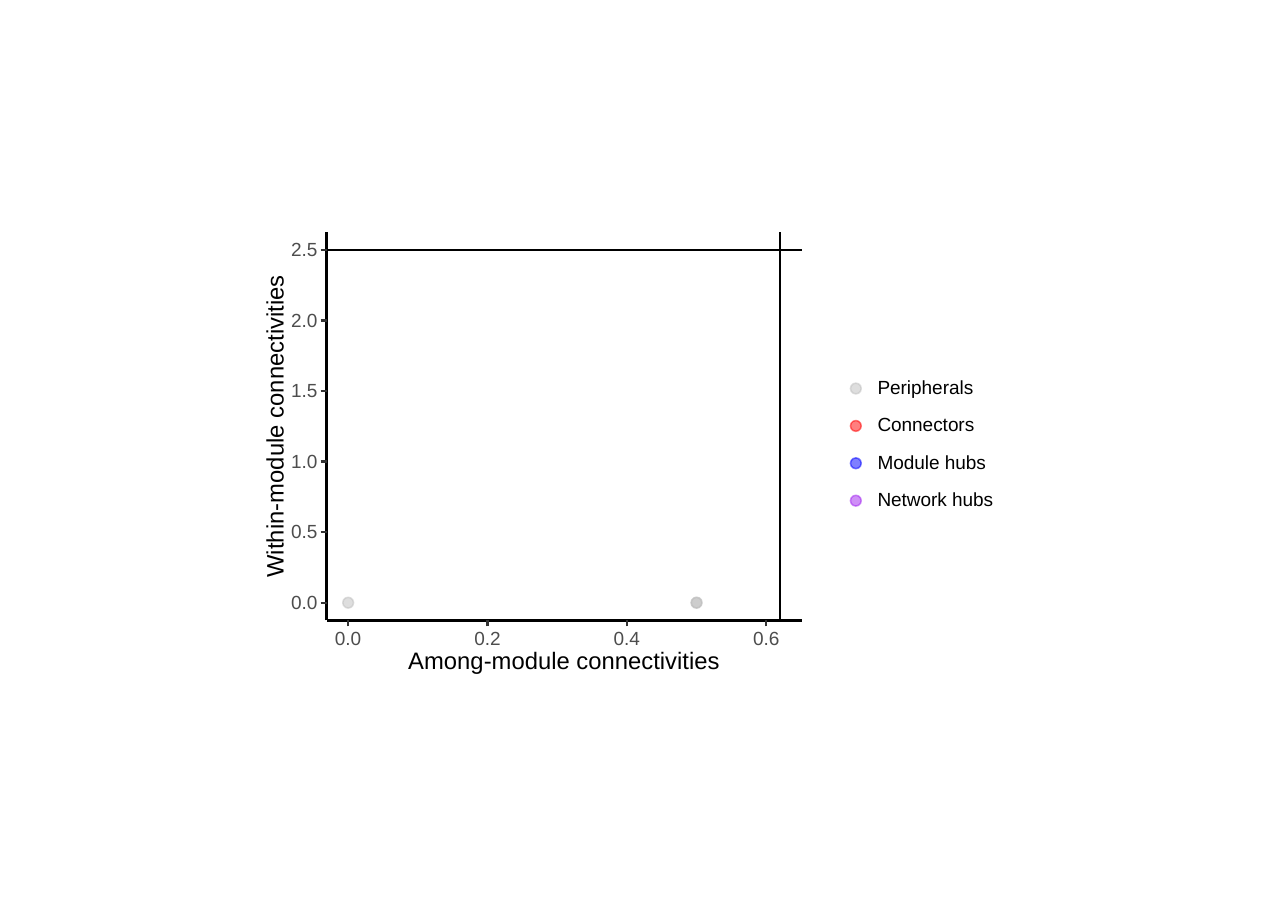
from lxml.etree import SubElement
from pptx import Presentation
from pptx.dml.color import RGBColor
from pptx.enum.shapes import MSO_CONNECTOR, MSO_SHAPE
from pptx.enum.text import MSO_ANCHOR, PP_ALIGN
from pptx.oxml.ns import qn
from pptx.util import Pt

FONT = "Arial"
BLACK = RGBColor(0x00, 0x00, 0x00)
TICK_GRAY = RGBColor(0x33, 0x33, 0x33)
LABEL_GRAY = RGBColor(0x4D, 0x4D, 0x4D)
GRAY = RGBColor(0xBE, 0xBE, 0xBE)
RED = RGBColor(0xFF, 0x00, 0x00)
BLUE = RGBColor(0x00, 0x00, 0xFF)
PURPLE = RGBColor(0xA0, 0x20, 0xF0)

LABEL_SIZE = 8.8
TITLE_SIZE = 11
LINE_WIDTH = 1.07
DOT_SIZE = 5
TICK_LENGTH = 2.75
X_THRESHOLD = 0.62
Y_THRESHOLD = 2.5
X_TICKS = [0.0, 0.2, 0.4, 0.6]
Y_TICKS = [0.0, 0.5, 1.0, 1.5, 2.0, 2.5]
EXPANSION = 0.05
POINTS = [(0.5, 0), (0.5, 0), (0, 0)]
ROLES = [("Peripherals", GRAY), ("Connectors", RED),
         ("Module hubs", BLUE), ("Network hubs", PURPLE)]


def add_line(slide, start, end, color):
    line = slide.shapes.add_connector(MSO_CONNECTOR.STRAIGHT,
                                      *(Pt(value) for value in (*start, *end)))
    line.line.color.rgb = color
    line.line.width = Pt(LINE_WIDTH)
    SubElement(line.element.spPr, qn("a:effectLst"))


def add_dot(slide, center_x, center_y, color):
    dot = slide.shapes.add_shape(
        MSO_SHAPE.OVAL, Pt(center_x - DOT_SIZE / 2), Pt(center_y - DOT_SIZE / 2),
        Pt(DOT_SIZE), Pt(DOT_SIZE))
    dot.shadow.inherit = False
    dot.fill.solid()
    dot.fill.fore_color.rgb = color
    dot.line.color.rgb = color
    dot.line.width = Pt(0.71)
    for shade in dot.element.spPr.iter(qn("a:srgbClr")):
        SubElement(shade, qn("a:alpha")).set("val", "50000")


def add_label(slide, center_x, center_y, width, text, size, color,
              alignment=PP_ALIGN.CENTER, rotation=0):
    height = size * 1.2
    label = slide.shapes.add_textbox(Pt(center_x - width / 2), Pt(center_y - height / 2),
                                     Pt(width), Pt(height))
    label.rotation = rotation
    frame = label.text_frame
    frame.word_wrap = True
    frame.vertical_anchor = MSO_ANCHOR.MIDDLE
    frame.margin_left = frame.margin_right = 0
    frame.margin_top = frame.margin_bottom = 0
    paragraph = frame.paragraphs[0]
    paragraph.alignment = alignment
    run = paragraph.add_run()
    run.text = text
    run.font.name = FONT
    run.font.size = Pt(size)
    run.font.color.rgb = color


def add_connectivity_plot(slide, left, top, width, height):
    right, bottom = left + width, top + height

    def share(value, limit):
        return (value / limit + EXPANSION) / (1 + 2 * EXPANSION)

    def place_x(value):
        return left + width * share(value, X_THRESHOLD)

    def place_y(value):
        return bottom - height * share(value, Y_THRESHOLD)

    for x, y in POINTS:
        add_dot(slide, place_x(x), place_y(y), GRAY)

    threshold_x, threshold_y = place_x(X_THRESHOLD), place_y(Y_THRESHOLD)
    add_line(slide, (threshold_x, bottom), (threshold_x, top), BLACK)
    add_line(slide, (left, threshold_y), (right, threshold_y), BLACK)
    add_line(slide, (left, bottom), (left, top), BLACK)
    label_width = 14
    for value in Y_TICKS:
        y = place_y(value)
        add_label(slide, left - 4.2 - label_width / 2, y - 0.5, label_width,
                  f"{value:.1f}", LABEL_SIZE, LABEL_GRAY, PP_ALIGN.RIGHT)
        add_line(slide, (left - TICK_LENGTH, y), (left, y), TICK_GRAY)

    add_line(slide, (left, bottom), (right, bottom), BLACK)
    for value in X_TICKS:
        x = place_x(value)
        add_line(slide, (x, bottom + TICK_LENGTH), (x, bottom), TICK_GRAY)
        add_label(slide, x, bottom + 8, label_width,
                  f"{value:.1f}", LABEL_SIZE, LABEL_GRAY)

    add_label(slide, left + width / 2, bottom + 18.5, 150,
              "Among-module connectivities", TITLE_SIZE, BLACK)
    add_label(slide, left - 24.2, top + height / 2, 150,
              "Within-module connectivities", TITLE_SIZE, BLACK, rotation=270)


def add_role_legend(slide, left, top, width, height):
    row_height = height / len(ROLES)
    text_left = 12.5
    text_width = width - text_left
    for row, (name, color) in enumerate(ROLES):
        center_y = top + (row + 0.5) * row_height
        add_dot(slide, left + DOT_SIZE / 2, center_y, color)
        add_label(slide, left + text_left + text_width / 2, center_y - 0.9,
                  text_width, name, LABEL_SIZE, BLACK, PP_ALIGN.LEFT)


presentation = Presentation()
presentation.slide_width = Pt(595.44)
presentation.slide_height = Pt(419.76)
slide = presentation.slides.add_slide(presentation.slide_layouts[6])
add_connectivity_plot(slide, 151, 107.4, 219.7, 179.4)
add_role_legend(slide, 393.2, 171, 72, 69.12)
presentation.save("out.pptx")
